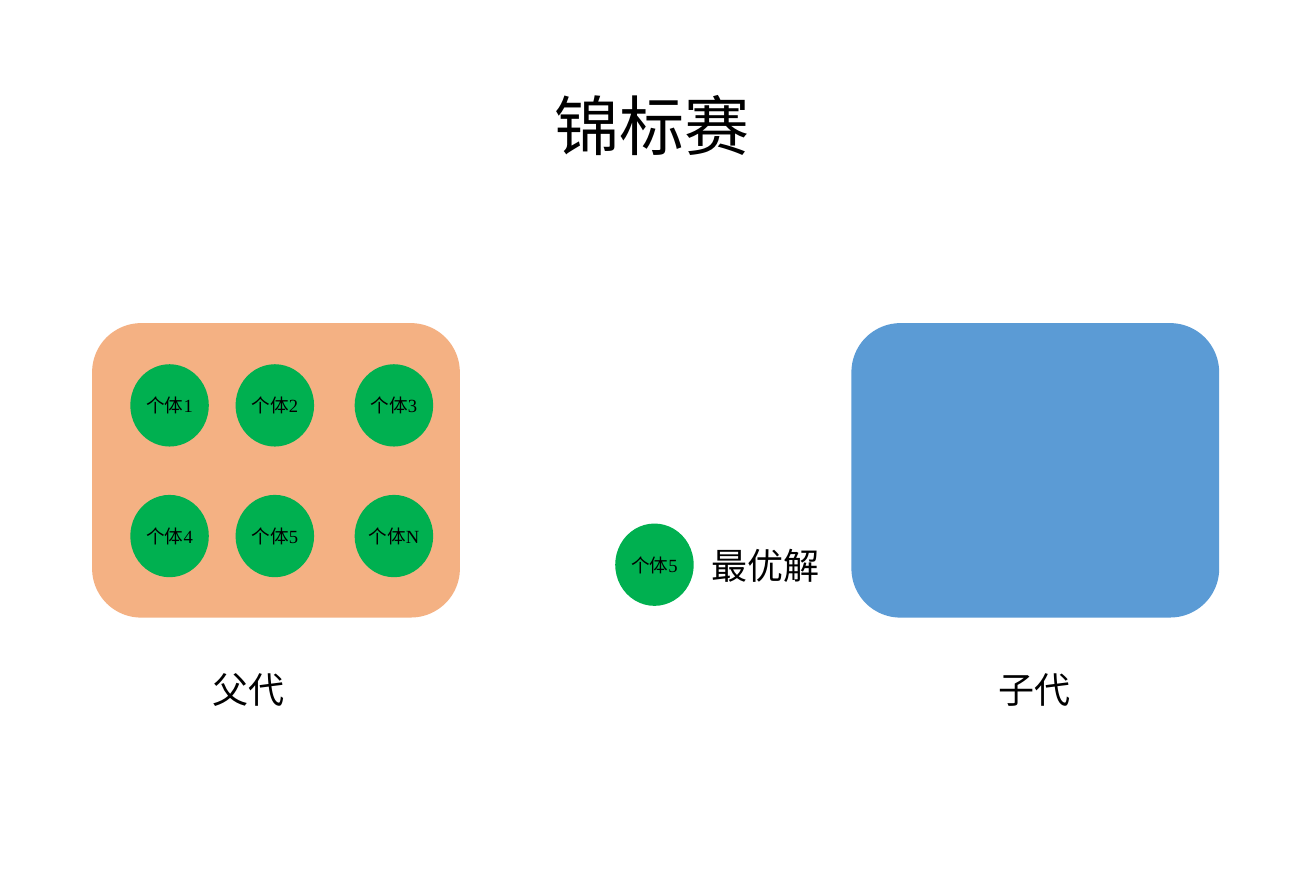
from dataclasses import dataclass
from itertools import product

from pptx import Presentation
from pptx.dml.color import RGBColor
from pptx.enum.shapes import MSO_SHAPE
from pptx.enum.text import MSO_ANCHOR, MSO_AUTO_SIZE, PP_ALIGN
from pptx.util import Inches, Pt

ROUND = MSO_SHAPE.ROUNDED_RECTANGLE
OVAL = MSO_SHAPE.OVAL
MIDDLE = MSO_ANCHOR.MIDDLE
CENTER = PP_ALIGN.CENTER
FIXED = MSO_AUTO_SIZE.NONE
WIDE, HIGH = Inches(7.87), Inches(5.35)
TITLE_ONLY = 5


@dataclass(frozen=True)
class Theme:
    """Colours, fonts and type sizes of the slide."""

    ink: str = "000000"
    parent: str = "F4B183"
    child: str = "5B9BD5"
    member: str = "00B050"
    sans: str = "Calibri"
    serif: str = "Times New Roman"
    title: float = 28
    label: float = 15.5
    small: float = 8


THEME = Theme()


def area(left, top, width, height):
    """Turn percentages of the slide into a box of lengths."""
    return (int(WIDE * left / 100), int(HIGH * top / 100),
            int(WIDE * width / 100), int(HIGH * height / 100))


def write(shape, text, size, font, wrap=True):
    """Put one centred run of text into a shape."""
    frame = shape.text_frame
    frame.auto_size = FIXED
    frame.word_wrap = wrap
    frame.vertical_anchor = MIDDLE
    frame.margin_left = frame.margin_right = 0
    frame.margin_top = frame.margin_bottom = 0
    para = frame.paragraphs[0]
    para.alignment = CENTER
    run = para.add_run()
    run.text = text
    run.font.size = Pt(size)
    run.font.name = font
    run.font.color.rgb = RGBColor.from_string(THEME.ink)


def add_form(slide, kind, box, color):
    """Draw a flat shape without outline and return it."""
    shape = slide.shapes.add_shape(kind, *area(*box))
    shape.shadow.inherit = False
    shape.fill.solid()
    shape.fill.fore_color.rgb = RGBColor.from_string(color)
    shape.line.fill.background()
    return shape


def add_member(slide, left, top, name):
    """Draw one individual as a named circle."""
    shape = add_form(slide, OVAL, (left, top, 5.97, 9.2), THEME.member)
    write(shape, "个体" + name, THEME.small, THEME.serif, wrap=False)


def add_label(slide, text, box):
    """Add a plain text label."""
    shape = slide.shapes.add_textbox(*area(*box))
    write(shape, text, THEME.label, THEME.sans)


def add_title(slide, text, box):
    """Place and fill the title placeholder."""
    title = slide.shapes.title
    title.left, title.top, title.width, title.height = area(*box)
    write(title, text, THEME.title, THEME.sans)


def main():
    """Build the tournament selection slide."""
    deck = Presentation()
    deck.slide_width, deck.slide_height = WIDE, HIGH
    slide = deck.slides.add_slide(deck.slide_layouts[TITLE_ONLY])
    add_title(slide, "锦标赛", (39, 10.5, 21.1, 6.9))

    pools = ((7, THEME.parent, "父代", 10.7), (64.7, THEME.child, "子代", 70.4))
    for left, color, name, start in pools:
        add_form(slide, ROUND, (left, 36.1, 27.95, 32.9), color)
        add_label(slide, name, (start, 73.5, 16.4, 6.9))

    cells = product((40.7, 55.3), (9.9, 17.9, 26.95))
    for (top, left), name in zip(cells, "12345N"):
        add_member(slide, left, top, name)

    add_member(slide, 46.75, 58.5, "5")
    add_label(slide, "最优解", (52.5, 60.6, 11.3, 5))
    deck.save("out.pptx")


if __name__ == "__main__":
    main()
